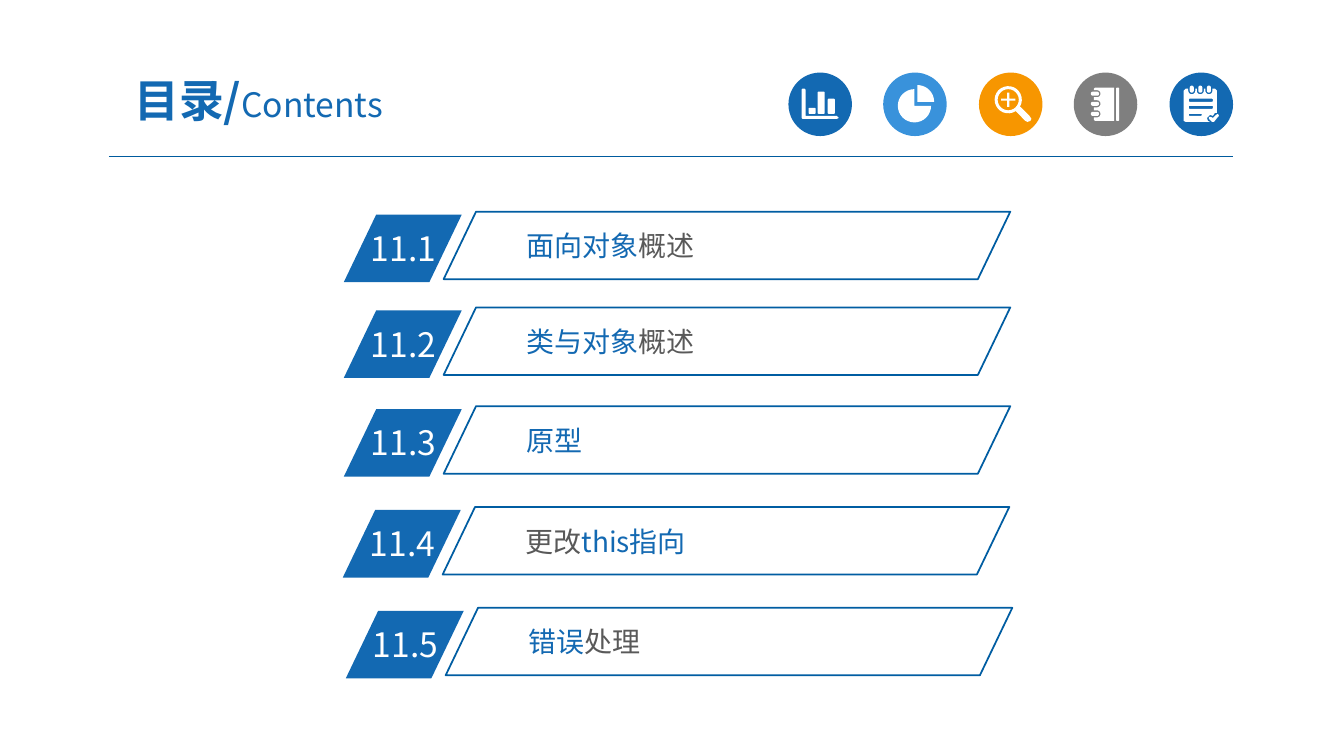
from dataclasses import dataclass
from math import cos, radians, sin

from lxml.etree import SubElement
from pptx import Presentation
from pptx.dml.color import RGBColor
from pptx.enum.shapes import MSO_CONNECTOR as Connector
from pptx.enum.shapes import MSO_SHAPE as Preset
from pptx.enum.text import MSO_ANCHOR as Anchor
from pptx.enum.text import MSO_AUTO_SIZE as AutoSize
from pptx.enum.text import PP_ALIGN as Align
from pptx.oxml.ns import qn
from pptx.util import Pt

PX = 9144
FINE = 100


@dataclass(frozen=True)
class Theme:
    """Colours, font and type sizes of the slide."""
    blue: str = "1369B2"
    sky: str = "3992DB"
    orange: str = "F79600"
    grey: str = "7F7F7F"
    white: str = "FFFFFF"
    text: str = "595959"
    frame: str = "005DA2"
    rule: str = "005B9E"
    font: str = "Noto Sans CJK SC"
    title: int = 32
    subtitle: int = 24
    number: int = 24
    label: int = 20


THEME = Theme()


def px(*lengths):
    """Turn px lengths into EMU."""
    return [length * PX for length in lengths]


def apply_format(target, values):
    """Set each named attribute of the target."""
    for name, value in values.items():
        setattr(target, name, value)


def paint(shape, fill=None, line=None, width=1.25):
    """Give a shape a flat fill and outline without shadow."""
    shape.shadow.inherit = False
    if fill:
        shape.fill.solid()
        shape.fill.fore_color.rgb = RGBColor.from_string(fill)
    else:
        shape.fill.background()
    if line:
        shape.line.color.rgb = RGBColor.from_string(line)
        shape.line.width = Pt(width)
    else:
        shape.line.fill.background()


def write(shape, runs, frame_format, margins=(10, 5), align=Align.LEFT):
    """Write one paragraph of (text, size, colour, bold) runs."""
    frame = shape.text_frame
    across, down = px(*margins)
    apply_format(frame, {"word_wrap": True, "margin_left": across, "margin_right": across,
                         "margin_top": down, "margin_bottom": down, **frame_format})
    paragraph = frame.paragraphs[0]
    apply_format(paragraph, {"alignment": align, "space_before": Pt(0)})
    for text, size, colour, bold in runs:
        run = paragraph.add_run()
        run.text = text
        apply_format(run.font, {"size": Pt(size), "bold": bold, "name": THEME.font})
        run.font.color.rgb = RGBColor.from_string(colour)
        SubElement(run.font._element, qn("a:ea"), typeface=THEME.font)


def arc(x, y, radius, start, end, steps=24):
    """Return points along an arc, with angles in degrees, clockwise from right."""
    angles = [radians(start + (end - start) * step / steps) for step in range(steps + 1)]
    return [(x + radius * cos(angle), y + radius * sin(angle)) for angle in angles]


def rounded(x, y, width, height, radius):
    """Return the outline of a rounded box."""
    right, bottom = x + width - radius, y + height - radius
    corners = [(x + radius, y + radius, 180), (right, y + radius, 270),
               (right, bottom, 0), (x + radius, bottom, 90)]
    return [point for cx, cy, start in corners
            for point in arc(cx, cy, radius, start, start + 90, 6)]


def bar_chart():
    """Return the outlines of the bar chart icon."""
    axes = [(13, 17), (14, 16), (16, 16), (17, 17), (17, 43), (48, 43),
            (50, 45), (48, 46), (14, 46), (13, 45)]
    bars = [(20, 35, 7, 6), (29, 19, 7, 22), (39, 26, 7, 15)]
    return [axes] + [rounded(*bar, 1) for bar in bars]


def pie_chart():
    """Return the outlines of the pie icon."""
    return [[(34, 29)] + arc(34, 29, 16.5, -90, 0), [(31, 33)] + arc(31, 33, 16.5, 0, 270)]


def magnifier():
    """Return the outlines of the magnifier icon."""
    handle = [(50, 43), (52, 46), (51, 48), (48, 49), (46, 48)]
    plus = [(28, 20), (30, 20), (30, 26), (36, 26), (36, 28), (30, 28),
            (30, 34), (28, 34), (28, 28), (22, 28), (22, 26), (28, 26)]
    return [arc(29, 27, 13.5, 57, 390) + handle, arc(29, 27, 10.5, 0, 360), plus]


def notebook():
    """Return the outlines of the notebook icon."""
    rings = [41, 31, 21]
    cover = [(40, 15), (40, 48), (21, 48), (20, 47)]
    for y in rings:
        cover += [(20, y + 3.5), *arc(23, y, 3.5, 90, -90), (20, y - 3.5)]
    cover += [(20, 16), (21, 15)]
    return [cover, rounded(42, 15, 3, 33, 1)] + [rounded(17, y - 2, 8, 4, 1.8) for y in rings]


def notepad():
    """Return the outlines of the notepad icon."""
    rings = [22, 30.5, 39]
    sheet = [(14, 18), (16, 16)]
    for x in rings:
        sheet += [(x - 3.5, 16), *arc(x, 18, 3.5, 180, 0), (x + 3.5, 16)]
    sheet += [(45, 16), (47, 18), (47, 40), (45, 40), (43, 43), (40, 42),
              (37, 45), (38, 48), (40, 49), (16, 49), (14, 48)]
    heart = [(48, 44), (44, 49), (42, 49), (39, 46), (39, 44), (41, 44),
             (43, 45), (46, 42), (48, 41), (49, 43)]
    lines = [(19, 26, 24, 3), (19, 33, 24, 3), (19, 41, 13, 2)]
    return ([sheet, heart] + [rounded(*line, 1) for line in lines]
            + [rounded(x - 2, 13, 4, 7, 2) for x in rings])


def add_icon(slide, left, top, size, colour, outlines):
    """Draw a coloured disc with a white icon in it."""
    disc = slide.shapes.add_shape(Preset.OVAL, *px(left, top, size, size))
    paint(disc, colour)
    contours = [[(x * FINE, y * FINE) for x, y in outline] for outline in outlines]
    builder = slide.shapes.build_freeform(*contours[0][0], scale=PX / FINE)
    for contour in contours:
        builder.move_to(*contour[0])
        builder.add_line_segments(contour[1:], close=True)
    paint(builder.convert_to_shape(*px(left, top)), THEME.white)


def add_header(slide, left, top, width, height):
    """Place the title, the row of icons and the rule below them."""
    title = slide.shapes.title
    apply_format(title, dict(zip(("left", "top", "width", "height"),
                                 px(left - 16, top - 9, 329, 72))))
    write(title, [("目录/", THEME.title, THEME.blue, True),
                  ("Contents", THEME.subtitle, THEME.blue, False)],
          {"vertical_anchor": Anchor.MIDDLE, "auto_size": AutoSize.NONE},
          (13, 7), Align.CENTER)
    right, bottom = left + width, top + height
    rule = slide.shapes.add_connector(Connector.STRAIGHT, *px(left, bottom, right, bottom))
    rule.line.color.rgb = RGBColor.from_string(THEME.rule)
    rule.line.width = Pt(0.75)
    SubElement(rule._element.spPr, qn("a:effectLst"))
    size = 63
    step = (378 + 0.5) / 4
    icons = [(THEME.blue, bar_chart), (THEME.sky, pie_chart), (THEME.orange, magnifier),
             (THEME.grey, notebook), (THEME.blue, notepad)]
    for index, (colour, draw) in enumerate(icons):
        x = round(right - size - step * (len(icons) - 1 - index))
        add_icon(slide, x, top, size, colour, draw())


def add_entry(slide, left, top, number, label):
    """Place one contents row: number tag, label and slanted frame."""
    grow = {"auto_size": AutoSize.SHAPE_TO_FIT_TEXT}
    tag = slide.shapes.add_shape(Preset.PARALLELOGRAM, *px(left, top + 3, 117, 67))
    paint(tag, THEME.blue)
    number_box = slide.shapes.add_textbox(*px(left + 17, top + 11, 112, 50))
    write(number_box, [(number, THEME.number, THEME.white, False)], grow)
    label_box = slide.shapes.add_textbox(*px(left + 174, top + 13, 412, 41))
    write(label_box, [(text, THEME.label, colour, False) for text, colour in label],
          grow, (7, 4))
    frame = slide.shapes.add_shape(Preset.PARALLELOGRAM, *px(left + 99, top, 562, 67))
    paint(frame, line=THEME.frame)
    for shape in (tag, frame):
        shape.adjustments[0] = 0.48


def main():
    """Build the contents slide and save it."""
    presentation = Presentation()
    presentation.slide_width, presentation.slide_height = px(1333, 750)
    slide = presentation.slides.add_slide(presentation.slide_layouts[5])
    add_header(slide, 108, 72, 1115, 83)
    blue, text = THEME.blue, THEME.text
    entries = [(341, 210, [("面向对象", blue), ("概述", text)]),
               (341, 305, [("类与对象", blue), ("概述", text)]),
               (341, 403, [("原型", blue)]),
               (340, 503, [("更改", text), ("this指向", blue)]),
               (343, 603, [("错误", blue), ("处理", text)])]
    for index, (left, top, label) in enumerate(entries, 1):
        add_entry(slide, left, top, f"11.{index}", label)
    presentation.save("out.pptx")


if __name__ == "__main__":
    main()
